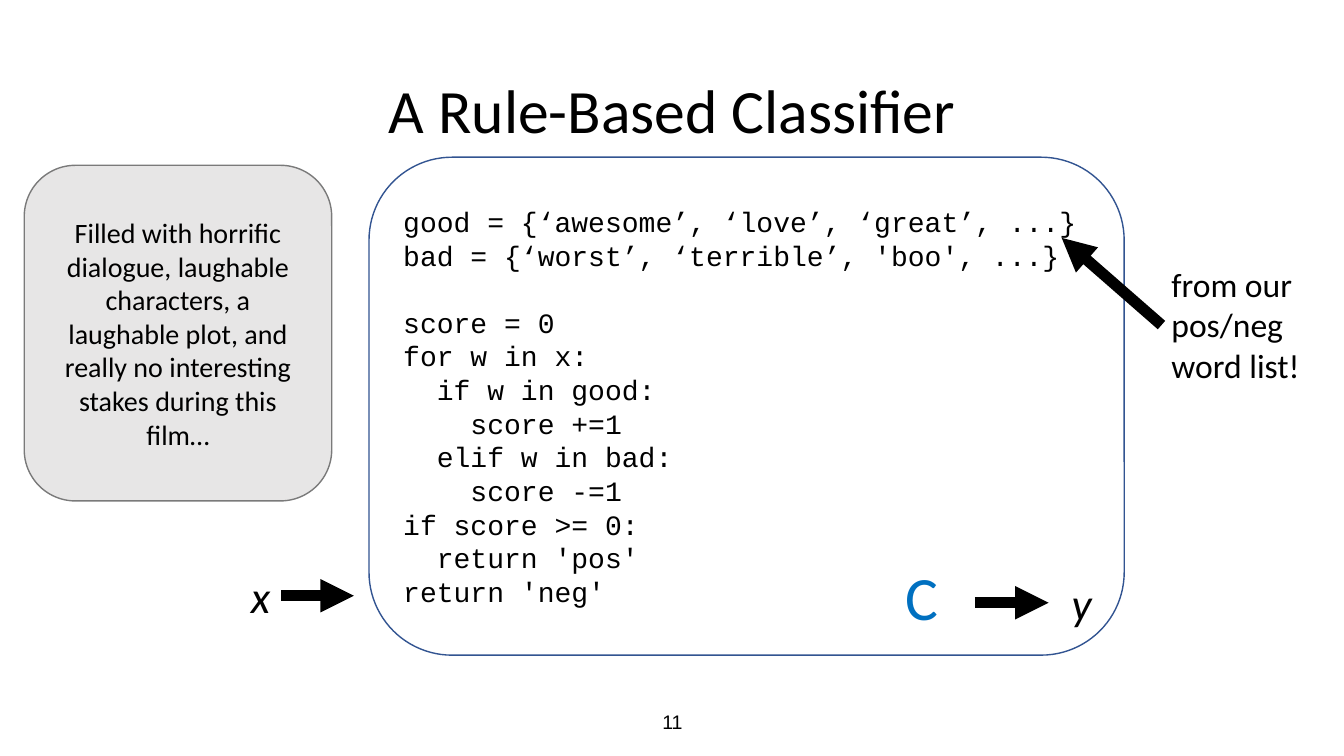
import pptx
import pptx.dml.color
import pptx.enum.shapes
import pptx.enum.text
import pptx.oxml.ns
import pptx.util
from lxml import etree

RGBColor = pptx.dml.color.RGBColor
ALIGN = pptx.enum.text.PP_ALIGN
ANCHOR = pptx.enum.text.MSO_ANCHOR
BLACK = RGBColor(0x00, 0x00, 0x00)
WHITE = RGBColor(0xFF, 0xFF, 0xFF)
BLUE = RGBColor(0x00, 0x70, 0xC0)
NAVY = RGBColor(0x32, 0x54, 0x91)
PALE_GRAY = RGBColor(0xE7, 0xE6, 0xE6)
MID_GRAY = RGBColor(0x7A, 0x7A, 0x7A)

EMU_PER_PX = 9144
LEFT, RIGHT = 1, 3

CODE = """good = {‘awesome’, ‘love’, ‘great’, ...}
bad = {‘worst’, ‘terrible’, 'boo', ...}
score = 0
for w in x:
  if w in good:
    score +=1
  elif w in bad:
    score -=1
if score >= 0:
  return 'pos'
return 'neg'"""
REVIEW = ("Filled with horrific dialogue, laughable characters, a laughable plot, "
          "and really no interesting stakes during this film…")


def px(*lengths):
    return [pptx.util.Emu(length * EMU_PER_PX) for length in lengths]


def write(shape, text, size=20, font="Calibri", color=BLACK, italic=False,
          align=ALIGN.LEFT, anchor=ANCHOR.MIDDLE, wrap=True, spacing=None):
    frame = shape.text_frame
    frame.word_wrap = wrap
    frame.vertical_anchor = anchor
    for index, line in enumerate(text.split("\n")):
        paragraph = frame.add_paragraph() if index else frame.paragraphs[0]
        paragraph.alignment = align
        paragraph.line_spacing = spacing
        run = paragraph.add_run()
        run.text = line
        run.font.size = pptx.util.Pt(size)
        run.font.name = font
        run.font.color.rgb = color
        run.font.italic = italic
    return shape


class ClassifierSlide:
    outline_width = pptx.util.Pt(1)
    arrow_width = pptx.util.Pt(8)

    def __init__(self, deck):
        self.shapes = deck.slides.add_slide(deck.slide_layouts[6]).shapes

    def label(self, box, text, **style):
        return write(self.shapes.add_textbox(*px(*box)), text, **style)

    def card(self, box, text, fill=None, outline=None, **style):
        card = self.shapes.add_shape(
            pptx.enum.shapes.MSO_SHAPE.ROUNDED_RECTANGLE, *px(*box))
        card.shadow.inherit = False
        if fill is None:
            card.fill.background()
        else:
            card.fill.solid()
            card.fill.fore_color.rgb = fill
        if outline is None:
            card.line.fill.background()
        else:
            card.line.color.rgb = outline
            card.line.width = self.outline_width
        return write(card, text, **style)

    def arrow(self, start, end, source=None, side=None):
        arrow = self.shapes.add_connector(
            pptx.enum.shapes.MSO_CONNECTOR.STRAIGHT, *px(*start, *end))
        if source is not None:
            arrow.begin_connect(source, side)
        arrow.line.color.rgb = BLACK
        arrow.line.width = self.arrow_width
        qn = pptx.oxml.ns.qn
        properties = arrow.element.find(qn("p:spPr"))
        etree.SubElement(properties.find(qn("a:ln")), qn("a:tailEnd"), type="triangle")
        etree.SubElement(properties, qn("a:effectLst"))


def main():
    deck = pptx.Presentation()
    deck.slide_width, deck.slide_height = px(1333, 750)
    slide = ClassifierSlide(deck)

    slide.label((92, 40, 1150, 145), "A Rule-Based Classifier",
                size=44, align=ALIGN.CENTER, spacing=0.9)
    code = slide.card((366, 156, 749, 494), CODE, outline=NAVY,
                      font="Courier New", spacing=pptx.util.Pt(24))
    score_line = code.text_frame.paragraphs[2]
    score_line.space_before = pptx.util.Pt(24)
    slide.card((886, 556, 54, 71), "C", fill=WHITE,
               size=44, color=BLUE, align=ALIGN.CENTER)

    variable = dict(size=32, italic=True, anchor=ANCHOR.TOP, wrap=False)
    input_x = slide.label((239, 559, 40, 64), "x", **variable)
    slide.arrow((279, 591), (351, 591), input_x, RIGHT)
    slide.arrow((967, 598), (1040, 598))
    slide.label((1053, 566, 40, 64), "y", **variable)

    word_list_note = slide.label((1152, 257, 157, 131), "from our pos/neg\nword list!",
                                 size=24, anchor=ANCHOR.TOP)
    slide.arrow((1152, 322), (1053, 236), word_list_note, LEFT)

    slide.label((442, 696, 450, 40), "11", size=14, font="Arial", align=ALIGN.CENTER)
    slide.card((24, 164, 305, 333), REVIEW, fill=PALE_GRAY, outline=MID_GRAY,
               align=ALIGN.CENTER)

    deck.save("out.pptx")


if __name__ == "__main__":
    main()
